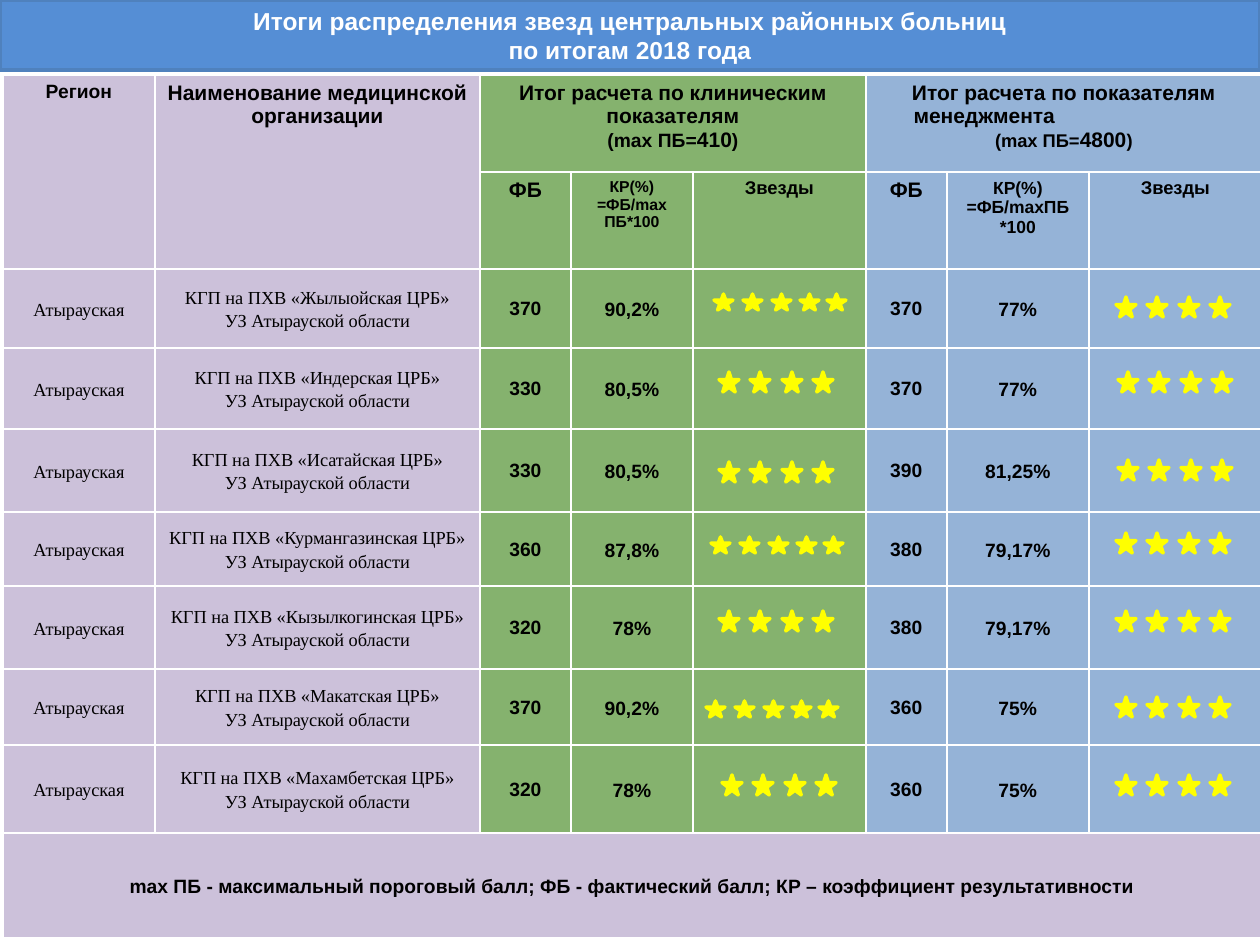
from lxml.etree import SubElement
from pptx import Presentation
from pptx.dml.color import RGBColor
from pptx.enum.shapes import MSO_SHAPE
from pptx.enum.text import MSO_ANCHOR, MSO_AUTO_SIZE, PP_ALIGN
from pptx.oxml import parse_xml
from pptx.oxml.ns import nsdecls, qn
from pptx.util import Pt

SCALE = 914400 / 126  # EMU per px

LILAC, GREEN, BLUE = "CCC1DA", "85B26E", "95B3D7"
WHITE, BLACK, YELLOW = "FFFFFF", "000000", "FFFF00"
COL_FILLS = [LILAC] * 2 + [GREEN] * 3 + [BLUE] * 3
COLS = [152, 325, 91, 122, 173, 81, 142, 173]
ROWS = [97, 97, 79, 81, 83, 74, 83, 76, 88, 105]

# Star offsets and size by number of stars
STARS = {4: ((0, 31, 63, 94), 20, 20), 5: ((0, 29, 58, 86, 113), 19, 16)}

# Organisation, then score, ratio and stars (number, left, top) for each half
DATA = [
    ("Жылыойская", "370", "90,2%", (5, 714, 294), "370", "77%", (4, 1116, 297)),
    ("Индерская", "330", "80,5%", (4, 719, 372), "370", "77%", (4, 1118, 372)),
    ("Исатайская", "330", "80,5%", (4, 719, 462), "390", "81,25%", (4, 1118, 460)),
    ("Курмангазинская", "360", "87,8%", (5, 711, 537), "380", "79,17%", (4, 1116, 533)),
    ("Кызылкогинская", "320", "78%", (4, 719, 611), "380", "79,17%", (4, 1116, 611)),
    ("Макатская", "370", "90,2%", (5, 706, 701), "360", "75%", (4, 1116, 697)),
    ("Махамбетская", "320", "78%", (4, 722, 775), "360", "75%", (4, 1116, 775)),
]


def px(n):
    return round(n * SCALE)


def rgb(value):
    return RGBColor.from_string(value)


def write(p, text, size=11, font="Arial", bold=True, color=BLACK):
    r = p.add_run()
    r.text = text
    f = r.font
    f.size, f.name, f.bold = Pt(size), font, bold
    f.color.rgb = rgb(color)


class Deck:
    """Holds the presentation, its current slide and the shared style."""

    def __init__(self):
        self.prs = Presentation()
        self.prs.slide_width, self.prs.slide_height = px(1260), px(945)
        self.s = self.prs.slides.add_slide(self.prs.slide_layouts[5])

    def title(self, lines, x, y, w, h):
        sp = self.s.shapes.title
        sp.left, sp.top, sp.width, sp.height = px(x), px(y), px(w), px(h)
        sp.fill.solid()
        sp.fill.fore_color.rgb = rgb("558ED5")
        sp.line.color.rgb = rgb("4F81BD")
        sp.line.width = Pt(2)
        tf = sp.text_frame
        tf.word_wrap, tf.auto_size = True, MSO_AUTO_SIZE.NONE
        tf.vertical_anchor = MSO_ANCHOR.MIDDLE
        p = tf.paragraphs[0]
        p.alignment = PP_ALIGN.CENTER
        for i, line in enumerate(lines):
            if i:
                p.add_line_break()
            write(p, line, size=14, color=WHITE)

    def table(self, x, y):
        frame = self.s.shapes.add_table(len(ROWS), len(COLS), px(x), px(y),
                                        px(sum(COLS)), px(sum(ROWS)))
        self.tbl = frame.table
        self.tbl.first_row = self.tbl.horz_banding = False
        for col, w in zip(self.tbl.columns, COLS):
            col.width = px(w)
        for row, h in zip(self.tbl.rows, ROWS):
            row.height = px(h)
        for r in range(len(ROWS)):
            for c, fill in enumerate(COL_FILLS):
                last = r == len(ROWS) - 1
                self.paint(self.tbl.cell(r, c), LILAC if last else fill)

    def paint(self, cell, fill):
        cell.fill.solid()
        cell.fill.fore_color.rgb = rgb(fill)
        tcPr = cell._tc.get_or_add_tcPr()
        for i, side in enumerate(("lnL", "lnR", "lnT", "lnB")):
            ln = parse_xml(f'<a:{side} {nsdecls("a")} w="12700"/>')
            color = SubElement(SubElement(ln, qn("a:solidFill")), qn("a:srgbClr"))
            color.set("val", WHITE)
            tcPr.insert(i, ln)

    def cell(self, r, c, paras, span=(1, 1), margins=None, spacing=None, **fmt):
        """Each paragraph is a string or a list of (text, size) runs."""
        cell = self.tbl.cell(r, c)
        if span != (1, 1):
            cell.merge(self.tbl.cell(r + span[0] - 1, c + span[1] - 1))
        if margins:
            side, top = margins
            cell.margin_left = cell.margin_right = px(side)
            cell.margin_top, cell.margin_bottom = px(top), 0
            cell.vertical_anchor = MSO_ANCHOR.MIDDLE
        tf = cell.text_frame
        for i, para in enumerate(paras):
            p = tf.add_paragraph() if i else tf.paragraphs[0]
            p.alignment = PP_ALIGN.CENTER
            if spacing:
                p.line_spacing = spacing
            if isinstance(para, str):
                write(p, para, **fmt)
            else:
                for text, size in para:
                    write(p, text, size=size)
        return tf

    def stars(self, count, x, y):
        group = self.s.shapes.add_group_shape()
        offsets, w, h = STARS[count]
        for dx in offsets:
            sp = group.shapes.add_shape(MSO_SHAPE.STAR_5_POINT,
                                        px(x + dx), px(y), px(w), px(h))
            sp.shadow.inherit = False
            sp.fill.solid()
            sp.fill.fore_color.rgb = rgb(YELLOW)
            sp.line.color.rgb = rgb(YELLOW)
            sp.line.width = Pt(2)


def main():
    deck = Deck()
    deck.title(["Итоги распределения звезд центральных районных больниц",
                "по итогам 2018 года"], 0, 0, 1260, 70)
    deck.table(3, 75)

    # Header
    deck.cell(0, 0, ["Регион"], span=(2, 1))
    deck.cell(0, 1, ["Наименование медицинской организации"], span=(2, 1), size=12)
    deck.cell(0, 2, ["Итог расчета по клиническим показателям",
                     [("(mах ПБ=", 11), ("410", 12), (")", 11)]],
              span=(1, 3), size=12)
    tf = deck.cell(0, 5, ["Итог расчета по показателям", "менеджмента",
                          [("(mах ПБ=", 10.5), ("4800", 12), (")", 10.5)]],
                   span=(1, 3), size=12)
    # The second line starts near the left edge of the first
    p = tf.paragraphs[1]
    p.alignment = PP_ALIGN.LEFT
    p._p.get_or_add_pPr().set("marL", str(px(35)))

    # Subheader of each half
    for c, formula, size in ((2, "=ФБ/mах ПБ*100", 9), (5, "=ФБ/mахПБ *100", 10)):
        deck.cell(1, c, ["ФБ"], size=12)
        deck.cell(1, c + 1, ["КР(%)", formula], size=size)
        deck.cell(1, c + 2, ["Звезды"], size=10.5)

    # Hospitals
    wide = dict(margins=(9, 0), spacing=1.15)
    serif = dict(wide, size=10.5, font="Times New Roman", bold=False)
    for r, (name, *halves) in enumerate(DATA, start=2):
        deck.cell(r, 0, ["Атырауская"], **serif)
        deck.cell(r, 1, [f"КГП на ПХВ «{name} ЦРБ»", "УЗ Атырауской области"], **serif)
        for c, (score, ratio, stars) in ((2, halves[:3]), (5, halves[3:])):
            deck.cell(r, c, [score], margins=(1, 1))
            deck.cell(r, c + 1, [ratio], **wide)
            deck.stars(*stars)

    # Legend
    deck.cell(len(ROWS) - 1, 0,
              ["mах ПБ - максимальный пороговый балл; ФБ - фактический балл; "
               "КР – коэффициент результативности"], span=(1, 8), **wide)

    deck.prs.save("out.pptx")


if __name__ == "__main__":
    main()
